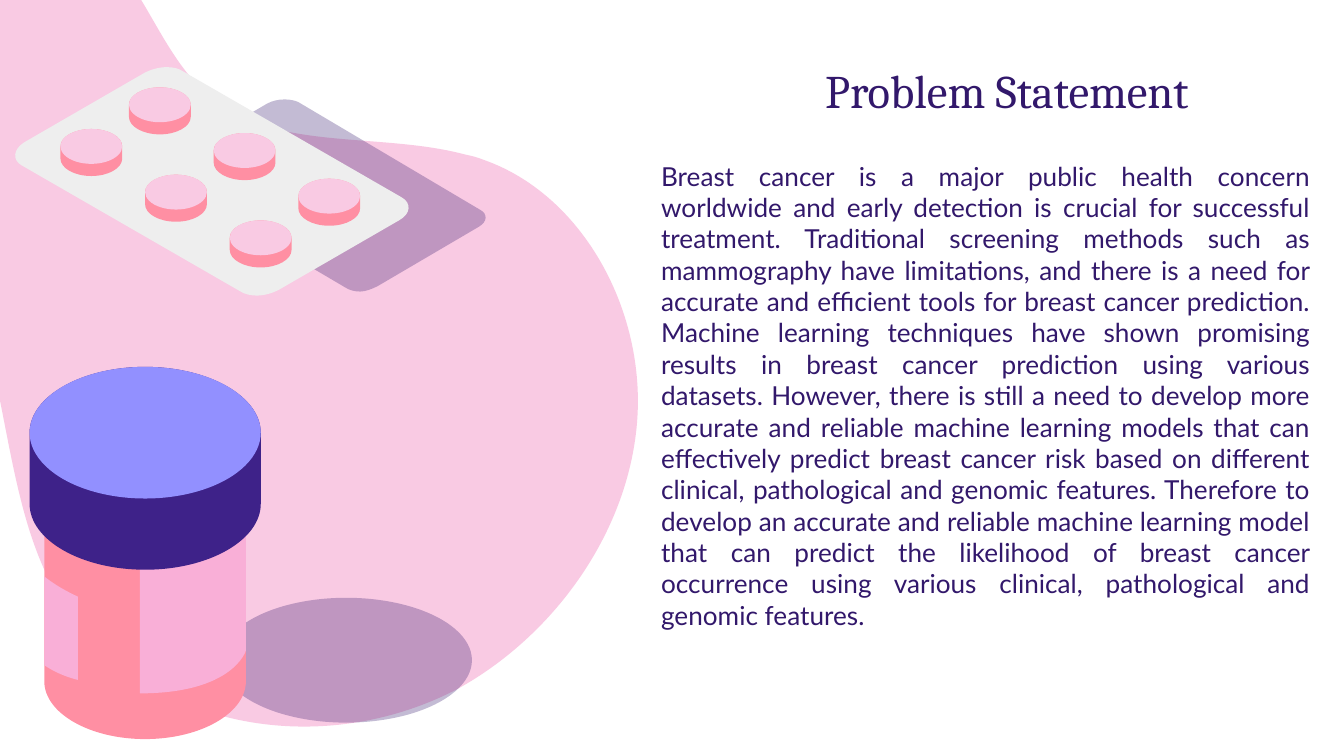
from lxml import etree
from pptx import Presentation
from pptx.dml.color import RGBColor
from pptx.enum.shapes import MSO_SHAPE
from pptx.enum.text import MSO_ANCHOR, MSO_AUTO_SIZE, PP_ALIGN
from pptx.oxml.ns import qn
from pptx.util import Cm, Pt

OVAL = MSO_SHAPE.OVAL
TOP, MIDDLE = MSO_ANCHOR.TOP, MSO_ANCHOR.MIDDLE
CENTER, JUSTIFY = PP_ALIGN.CENTER, PP_ALIGN.JUSTIFY
NO_FIT = MSO_AUTO_SIZE.NONE

INK = RGBColor(0x32, 0x18, 0x6B)
PINK = RGBColor(0xF9, 0xCA, 0xE3)
ROSE = RGBColor(0xF9, 0xAF, 0xD7)
CORAL = RGBColor(0xFF, 0x8F, 0xA3)
VIOLET = RGBColor(0x3E, 0x22, 0x89)
LILAC = RGBColor(0x92, 0x90, 0xFF)
GREY = RGBColor(0xEE, 0xEE, 0xEE)

UNIT = 2.54  # outlines are drawn on a grid of 2.54 cm
FINE = 1000  # steps per grid unit
ARC = 0.55   # handle length of a quarter ellipse


def trace(shapes, start, parts, color):
    """Fill a closed outline; a part is a line (x, y) or a Bezier curve (6 numbers)."""
    points = [(part[i] * FINE, part[i + 1] * FINE)
              for part in parts for i in range(0, len(part), 2)]
    pen = shapes.build_freeform(start[0] * FINE, start[1] * FINE, scale=Cm(UNIT) / FINE)
    pen.add_line_segments(points, close=True)
    shape = pen.convert_to_shape()
    shape.fill.solid()
    shape.fill.fore_color.rgb = color
    # Join the three points of each curve into one Bezier segment
    lines = iter(list(shape._element.iter(qn("a:lnTo"))))
    for part in parts:
        trio = [next(lines) for _ in range(len(part) // 2)]
        if len(trio) == 3:
            bend = etree.Element(qn("a:cubicBezTo"))
            trio[0].addprevious(bend)
            for line in trio:
                bend.append(line[0])
                line.getparent().remove(line)
    return shape


def drum(shapes, x, y, rx, ry, depth, color, lid=None):
    """Draw an upright cylinder whose upper rim is centred on x, y."""
    left, right, low = x - rx, x + rx, y + depth
    kx, ky = rx * ARC, ry * ARC
    trace(shapes, (left, y), [
        (left, y - ky, x - kx, y - ry, x, y - ry),
        (x + kx, y - ry, right, y - ky, right, y),
        (right, low),
        (right, low + ky, x + kx, low + ry, x, low + ry),
        (x - kx, low + ry, left, low + ky, left, low),
    ], color)
    if lid:
        box = (left, y - ry, 2 * rx, 2 * ry)
        top = shapes.add_shape(OVAL, *[Cm(n * UNIT) for n in box])
        top.fill.solid()
        top.fill.fore_color.rgb = lid


deck = Presentation()
deck.slide_width, deck.slide_height = Cm(25.4), Cm(14.29)
slide = deck.slides.add_slide(deck.slide_layouts[0])
shapes = slide.shapes

# Title and body
title, body = slide.placeholders
title.text_frame.text = "Problem Statement"
body.text_frame.text = (
    "Breast cancer is a major public health concern worldwide and early detection is "
    "crucial for successful treatment. Traditional screening methods such as mammography "
    "have limitations, and there is a need for accurate and efficient tools for breast "
    "cancer prediction. Machine learning techniques have shown promising results in breast "
    "cancer prediction using various datasets. However, there is still a need to develop "
    "more accurate and reliable machine learning models that can effectively predict breast "
    "cancer risk based on different clinical, pathological and genomic features. Therefore "
    "to develop an accurate and reliable machine learning model that can predict the "
    "likelihood of breast cancer occurrence using various clinical, pathological and "
    "genomic features."
)
for holder, box, font, size, align, anchor in (
    (title, (14.1, 0.89, 9.86, 1.6), "Cambria", 25, CENTER, MIDDLE),
    (body, (12.24, 2.77, 12.78, 10.36), "Lato", 14, JUSTIFY, TOP),
):
    holder.left, holder.top, holder.width, holder.height = [Cm(n) for n in box]
    frame = holder.text_frame
    frame.auto_size, frame.word_wrap = NO_FIT, True
    frame.vertical_anchor = anchor
    frame.margin_left = frame.margin_right = Cm(0.1 * UNIT)
    frame.margin_top = frame.margin_bottom = Cm(0.1 * UNIT)
    para = frame.paragraphs[0]
    para.alignment = align
    para.space_before, para.line_spacing = Pt(0), 1.0
    run = para.runs[0]
    run.font.name, run.font.size = font, Pt(size)
    run.font.color.rgb = INK

# Backdrop
blob = trace(shapes, (1.66, 5.33), [
    (2.23, 5.48, 2.86, 5.41, 3.4, 5.13),
    (4.11, 4.74, 4.67, 3.98, 4.74, 3.15),
    (4.81, 2.32, 4.34, 1.45, 3.6, 1.19),
    (3.55, 1.17, 3.51, 1.16, 3.46, 1.15),
    (3.01, 1.03, 2.49, 1.07, 2.05, 0.96),
    (1.86, 0.91, 1.68, 0.83, 1.53, 0.69),
    (1.23, 0.42, 1.1, -0.01, 0.83, -0.31),
    (0.68, -0.47, 0.49, -0.58, 0.28, -0.63),
    (-0.14, -0.74, -0.63, -0.63, -0.95, -0.29),
    (-1.42, 0.21, -1.42, 1.11, -0.95, 1.58),
    (-0.73, 1.81, -0.41, 1.94, -0.23, 2.22),
    (-0.12, 2.4, -0.07, 2.61, -0.03, 2.83),
    (0.16, 3.74, 0.22, 4.53, 1.03, 5.05),
    (1.23, 5.18, 1.44, 5.27, 1.66, 5.33),
], PINK)

# Cast shadows
pool = shapes.add_shape(OVAL, Cm(4.17), Cm(11.3), Cm(4.75), Cm(2.36))
pool.fill.solid()
pool.fill.fore_color.rgb = INK
shade = trace(shapes, (2.12, 0.74), [
    (2.07, 0.74, 2.03, 0.75, 1.99, 0.77), (1.24, 1.21),
    (1.17, 1.25, 1.17, 1.31, 1.23, 1.35), (2.57, 2.14),
    (2.6, 2.16, 2.64, 2.17, 2.68, 2.17),
    (2.72, 2.17, 2.77, 2.15, 2.81, 2.13), (3.56, 1.69),
    (3.63, 1.65, 3.63, 1.59, 3.57, 1.56), (2.22, 0.76),
    (2.2, 0.75, 2.16, 0.74, 2.12, 0.74),
], INK)
for shape in (pool, shade):
    tint = shape.fill._xPr.find(qn("a:solidFill"))[0]
    etree.SubElement(tint, qn("a:alpha"), val="29000")

# Bottle
jar = shapes.add_group_shape().shapes
drum(jar, 1.08, 3.75, 0.75, 0.43, 1.32, CORAL)
trace(jar, (0.33, 4.29), [
    (0.33, 4.95), (0.33, 4.95, 0.42, 5.02, 0.58, 5.06),
    (0.58, 4.44), (0.58, 4.44, 0.44, 4.38, 0.33, 4.29),
], ROSE)
trace(jar, (1.83, 3.71), [
    (1.04, 3.99), (1.04, 5.16), (1.74, 5.16, 1.83, 4.84, 1.83, 4.84),
], ROSE)
drum(jar, 1.08, 3.22, 0.86, 0.49, 0.53, VIOLET, LILAC)

# Blister pack
pack = shapes.add_group_shape().shapes
trace(pack, (1.24, 0.5), [
    (1.18, 0.5, 1.12, 0.52, 1.08, 0.54), (0.18, 1.06),
    (0.1, 1.11, 0.09, 1.19, 0.16, 1.23), (1.79, 2.17),
    (1.82, 2.19, 1.87, 2.2, 1.91, 2.2),
    (1.97, 2.2, 2.03, 2.18, 2.07, 2.16), (2.97, 1.64),
    (3.06, 1.59, 3.06, 1.51, 2.99, 1.47), (1.36, 0.53),
    (1.33, 0.51, 1.29, 0.5, 1.24, 0.5),
], GREY)
for row in range(2):
    for col in range(3):
        x = 0.68 + 0.63 * col + 0.51 * row
        y = 1.09 + 0.34 * col - 0.31 * row
        drum(pack, x, y, 0.23, 0.13, 0.09, CORAL, PINK)

for shape in (blob, pool, shade, *jar, *pack):
    shape.line.fill.background()
    shape.shadow.inherit = False

deck.save("out.pptx")
